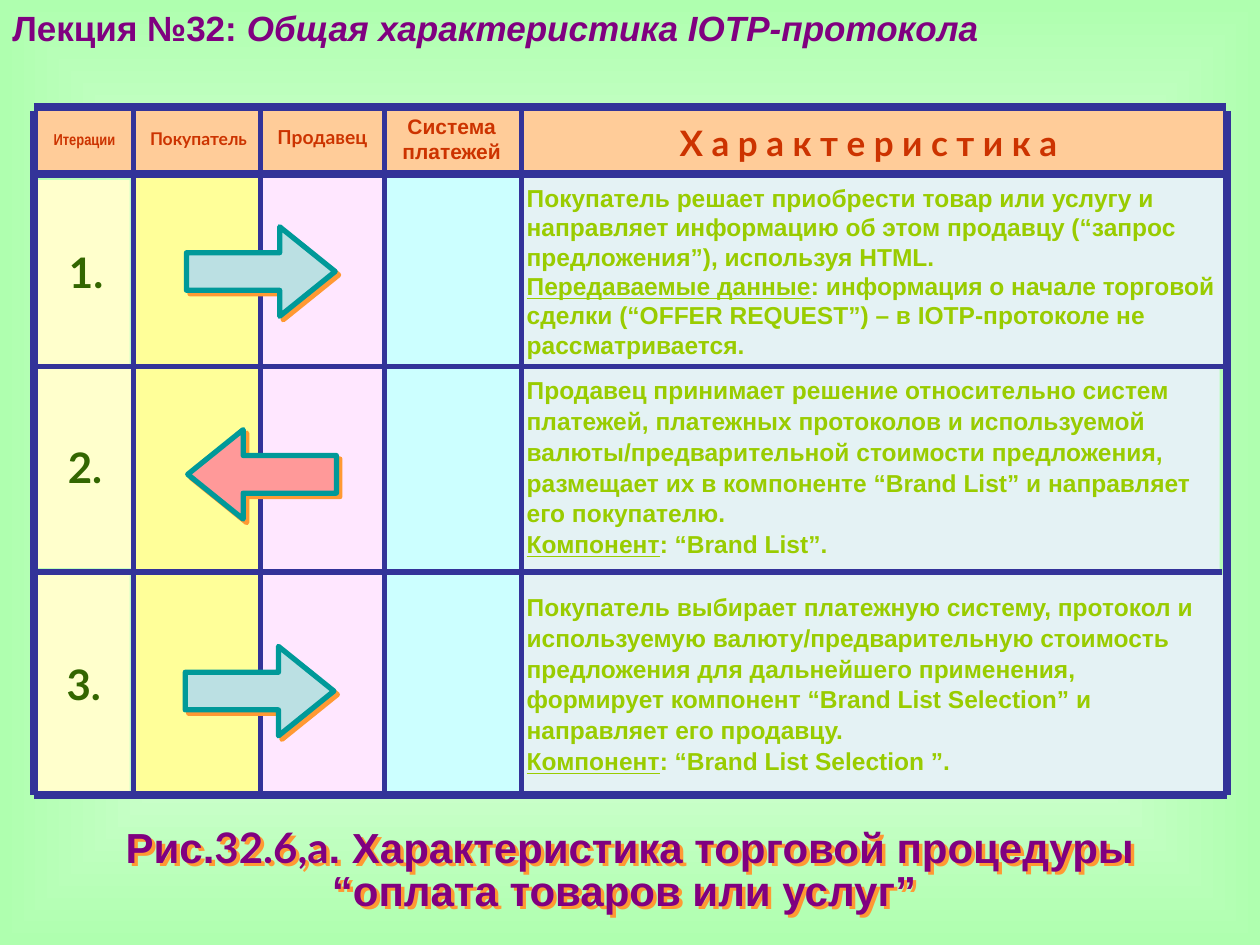
from pptx import Presentation
from pptx.dml.color import RGBColor
from pptx.enum.shapes import MSO_CONNECTOR as Connector, MSO_SHAPE as Shape
from pptx.enum.text import MSO_ANCHOR as Anchor, MSO_AUTO_SIZE as AutoSize, PP_ALIGN as Align
from pptx.oxml import parse_xml
from pptx.util import Inches, Pt

DRAWING = 'xmlns:a="http://schemas.openxmlformats.org/drawingml/2006/main"'
SHADOW = (f'<a:effectLst {DRAWING}><a:outerShdw dist="35921" dir="2700000" algn="ctr" rotWithShape="0">'
          '<a:srgbClr val="FF9933"/></a:outerShdw></a:effectLst>')


def paint(target, color):
    if hasattr(target, "solid"):
        target.solid()
        target = target.fore_color
    else:
        target = target.color
    target.rgb = RGBColor.from_string(color)


def write(box, paragraphs, style, frame_format, para_format):
    for name, value in frame_format.items():
        setattr(box.text_frame, name, value)
    for index, parts in enumerate(paragraphs):
        para = box.text_frame.paragraphs[0] if index == 0 else box.text_frame.add_paragraph()
        for name, value in para_format.items():
            setattr(para, name, value)
        for text, changes in parts:
            span = para.add_run()
            span.text = text
            values = {"bold": True, **style, **changes}
            paint(span.font, values.pop("color"))
            for name, value in values.items():
                setattr(span.font, name, value)


deck = Presentation()
deck.slide_width, deck.slide_height = Inches(10), Inches(7.5)
page = deck.slides.add_slide(deck.slide_layouts[6])

page.background.fill.solid()
solid = page.background._cSld.bg.bgPr[0]
solid.getparent().replace(solid, parse_xml(
    f'<a:gradFill {DRAWING} rotWithShape="0"><a:gsLst>'
    '<a:gs pos="0"><a:srgbClr val="FFFFFF"/></a:gs>'
    '<a:gs pos="100000"><a:srgbClr val="AFFFAF"/></a:gs></a:gsLst>'
    '<a:path path="shape"><a:fillToRect l="50000" t="50000" r="50000" b="50000"/></a:path></a:gradFill>'))

heading = {"name": "Arial", "size": Pt(20), "color": "800080"}
title = page.shapes.add_textbox(0, 0, Inches(10), Inches(0.43))
write(title, [[("Лекция №32: ", {}), ("Общая характеристика IOTP-протокола", {"italic": True})]],
      heading, {"word_wrap": True, "auto_size": AutoSize.SHAPE_TO_FIT_TEXT}, {})

margins = ("margin_left", "margin_top", "margin_right", "margin_bottom")
caption = page.shapes.add_textbox(0, Inches(6.58), Inches(10), Inches(0.68))
write(caption,
      [[("Рис.", {}), ("32.6,а", {"name": "Lato"}), (". Характеристика торговой процедуры", {})],
       [("“оплата товаров или услуг” ", {})]],
      {**heading, "size": Pt(24)},
      {"word_wrap": True, "vertical_anchor": Anchor.MIDDLE,
       "auto_size": AutoSize.SHAPE_TO_FIT_TEXT, **dict.fromkeys(margins, 0)},
      {"alignment": Align.CENTER, "line_spacing": 0.85})
caption._element.spPr.append(parse_xml(SHADOW))

header = {"name": "Lato", "color": "CC3300"}
number = {"name": "Lato", "size": Pt(24), "color": "336600"}
detail = {"name": "Arial", "size": Pt(14), "color": "99CC00"}
underlined = {"underline": True}
centered = {"alignment": Align.CENTER}
left = {"alignment": Align.LEFT}
loose = {"alignment": Align.LEFT, "line_spacing": 1.05}

cells = [
    (3.06, 1.41, 1.06, 4.91, "CCFFFF", [], {}, {}),
    (2.07, 1.39, 0.97, 4.91, "FFE7FF", [], {}, {}),
    (1.07, 1.4, 0.99, 4.91, "FFFF99", [], {}, {}),
    (4.14, 4.56, 5.57, 1.72, "E4F2F4",
     [[("Покупатель выбирает платежную систему, протокол и", {})],
      [("используемую валюту/предварительную стоимость", {})],
      [("предложения для дальнейшего применения,", {})],
      [("формирует компонент “Brand List Selection” и", {})],
      [("направляет его продавцу.", {})],
      [("Компонент", underlined), (": “Brand List Selection ”.", {})]], detail, loose),
    (3.05, 0.85, 1.07, 0.5, "FFCC99", [[("Система", {})], [("платежей", {})]],
     {**header, "name": "Arial", "size": Pt(12)}, centered),
    (0.3, 4.55, 0.73, 1.76, "FFFFCC", [[("3.", {})]], number, centered),
    (4.14, 2.88, 5.54, 1.64, "E4F2F4",
     [[("Продавец принимает решение относительно систем", {})],
      [("платежей, платежных протоколов и используемой", {})],
      [("валюты/предварительной стоимости предложения,", {})],
      [("размещает их в компоненте “Brand List” и направляет", {})],
      [("его покупателю.", {})],
      [("Компонент", underlined), (": “Brand List”.", {})]], detail, loose),
    (0.29, 2.9, 0.77, 1.61, "FFFFCC", [[("2.", {})]], number, centered),
    (4.14, 1.39, 5.6, 1.52, "E4F2F4",
     [[("Покупатель решает приобрести товар или услугу и направляет информацию об этом продавцу "
        "(“запрос предложения”), используя HTML.", {})],
      [("Передаваемые данные", underlined),
       (": информация о начале торговой сделки (“OFFER REQUEST”) – в IOTP-протоколе не "
        "рассматривается.", {})]], detail, left),
    (0.27, 1.43, 0.76, 1.46, "FFFFCC", [[(" ", {"size": Pt(20)}), ("1.", {})]], number, centered),
    (4.14, 0.84, 5.59, 0.54, "FFCC99",
     [[("Х а р а к т е р и с т и к а", {}), (" ", {"size": Pt(24)})]],
     {**header, "size": Pt(20)}, centered),
    (2.08, 0.82, 0.96, 0.54, "FFCC99", [[("Продавец", {})]], {**header, "size": Pt(11)}, centered),
    (1.08, 0.83, 0.99, 0.54, "FFCC99", [[("Покупатель", {})]], {**header, "size": Pt(10)}, centered),
    (0.29, 0.85, 0.76, 0.51, "FFCC99", [[("Итерации", {})]],
     {**header, "name": "Arial Narrow", "size": Pt(9)}, centered),
]
cell_frame = {"word_wrap": True, "vertical_anchor": Anchor.MIDDLE,
              **dict.fromkeys(margins, Inches(0.04))}
for x, y, width, height, color, paragraphs, style, para_format in cells:
    cell = page.shapes.add_shape(Shape.RECTANGLE, Inches(x), Inches(y), Inches(width), Inches(height))
    cell.shadow.inherit = False
    paint(cell.fill, color)
    if paragraphs:
        cell.line.fill.background()
        write(cell, paragraphs, style, cell_frame, para_format)
    else:
        paint(cell.line.fill, color)
        cell.line.width = Pt(0.75)

rules = [
    (1.06, 0.87, 1.06, 6.3, 3),
    (2.07, 0.88, 2.07, 6.31, 3),
    (4.14, 0.86, 4.14, 6.29, 3),
    (0.29, 2.91, 9.75, 2.91, 3),
    (0.27, 0.85, 9.73, 0.85, 4.5),
    (0.27, 0.88, 0.27, 6.31, 4.5),
    (9.74, 0.88, 9.74, 6.31, 4.5),
    (0.27, 6.31, 9.74, 6.31, 4.5),
    (0.28, 1.38, 9.74, 1.38, 4.5),
    (3.05, 0.87, 3.05, 6.3, 3),
    (0.24, 4.54, 9.7, 4.54, 3),
]
for *ends, weight in rules:
    rule = page.shapes.add_connector(Connector.STRAIGHT, *map(Inches, ends))
    paint(rule.line.fill, "333399")
    rule.line.width = Pt(weight)
    rule._element.spPr.append(parse_xml(f"<a:effectLst {DRAWING}/>"))

for x, y, color, flipped in [(1.49, 3.41, "FF9999", True),
                             (1.48, 1.8, "BBE0E3", False),
                             (1.47, 5.13, "BBE0E3", False)]:
    arrow = page.shapes.add_shape(Shape.RIGHT_ARROW, Inches(x), Inches(y), Inches(1.18), Inches(0.71))
    arrow.adjustments[0], arrow.adjustments[1] = 0.42, 0.62
    paint(arrow.fill, color)
    paint(arrow.line.fill, "009999")
    arrow.line.width = Pt(3)
    arrow._element.spPr.append(parse_xml(SHADOW))
    if flipped:
        arrow._element.spPr.xfrm.set("flipH", "1")

deck.save("out.pptx")
